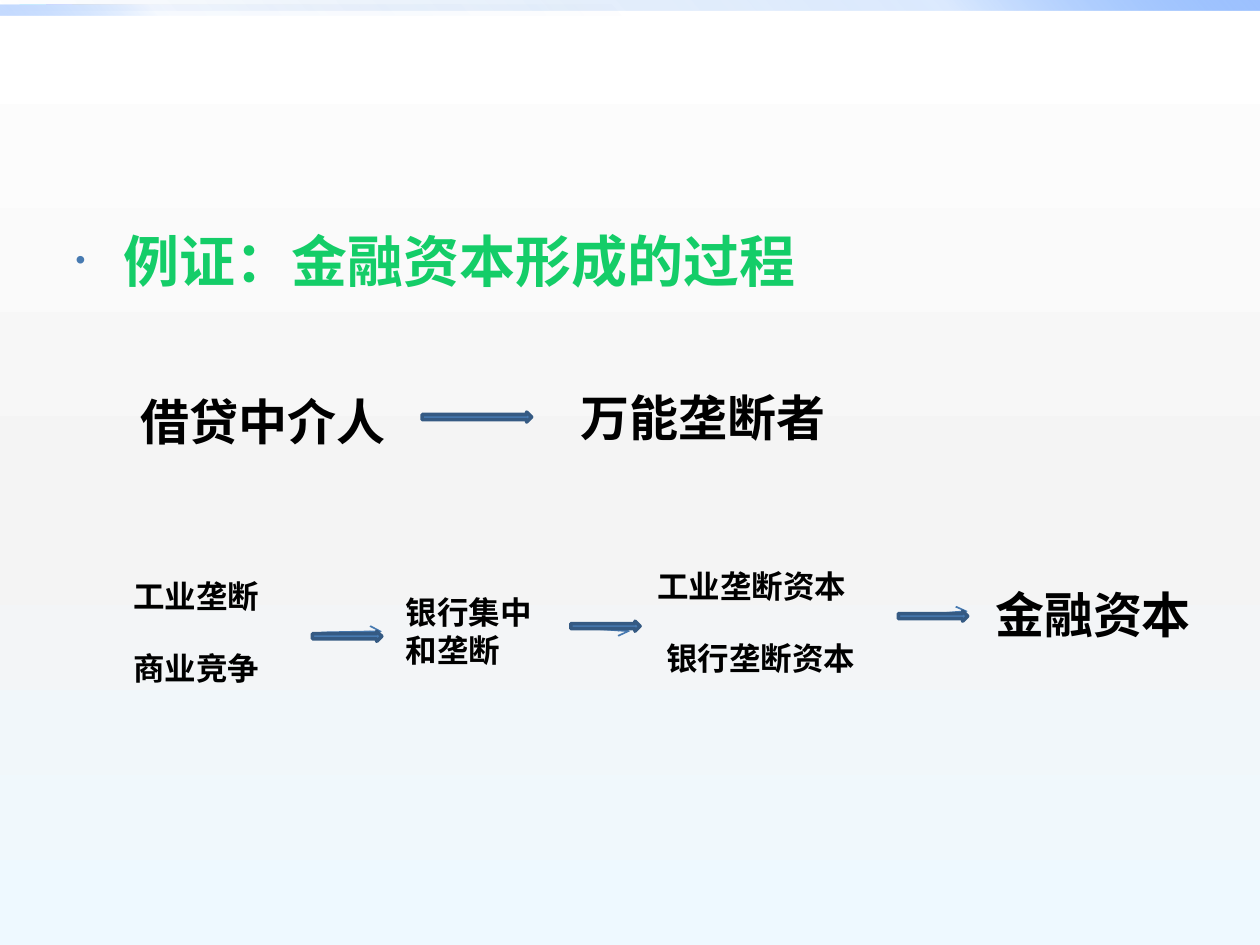
"""Build the slide on how finance capital takes shape."""
from lxml.etree import SubElement
from pptx import Presentation
from pptx.dml.color import RGBColor
from pptx.enum.shapes import MSO_CONNECTOR, MSO_SHAPE
from pptx.enum.text import MSO_ANCHOR, MSO_AUTO_SIZE, PP_ALIGN
from pptx.oxml.ns import qn
from pptx.util import Inches, Pt

BLACK = RGBColor(0x00, 0x00, 0x00)
WHITE = RGBColor(0xFF, 0xFF, 0xFF)
GRAY = RGBColor(0xF4, 0xF4, 0xF4)
PALE = RGBColor(0xEE, 0xF9, 0xFF)
NAVY = RGBColor(0x00, 0x58, 0xB7)
AZURE = RGBColor(0x4F, 0x95, 0xFF)
SKY = RGBColor(0x9E, 0xC2, 0xFF)
GREEN = RGBColor(0x14, 0xCD, 0x68)
TEAL = RGBColor(0x03, 0x5C, 0x7D)
STEEL = RGBColor(0x47, 0x7A, 0xB1)
DARK_STEEL = RGBColor(0x35, 0x5A, 0x83)
FONT = "Cambria"


def set_gradient(fill, owner, stops, angle):
    fill.gradient()
    gradient = next(owner.iter(qn("a:gradFill")))
    for child in list(gradient):
        gradient.remove(child)
    stop_list = SubElement(gradient, qn("a:gsLst"))
    for position, color, opacity in stops:
        stop = SubElement(stop_list, qn("a:gs"), pos=str(position * 1000))
        color_element = SubElement(stop, qn("a:srgbClr"), val=str(color))
        if opacity < 100:
            SubElement(color_element, qn("a:alpha"), val=str(opacity * 1000))
    SubElement(gradient, qn("a:lin"), ang=str(angle * 60000), scaled="0")


def add_run(paragraph, text, size):
    run = paragraph.add_run()
    run.text = text
    run.font.name = FONT
    run.font.size = Pt(size)
    run.font.bold = True
    run.font.color.rgb = BLACK
    return run


presentation = Presentation()
presentation.slide_width = Inches(10)
presentation.slide_height = Inches(7.5)
slide = presentation.slides.add_slide(presentation.slide_layouts[5])
set_gradient(slide.background.fill, slide.element,
             [(0, WHITE, 100), (55, GRAY, 100), (100, PALE, 100)], 90)

top_bars = [
    (0, 10, (0, 20, 100), 315),
    (0.04, 5, (0, 5, 60), 135),
]
for top, width, opacities, angle in top_bars:
    bar = slide.shapes.add_shape(MSO_SHAPE.RECTANGLE, 0, Inches(top), Inches(width), Inches(0.08))
    bar.shadow.inherit = False
    bar.line.fill.background()
    set_gradient(bar.fill, bar.element, zip((0, 75, 100), (NAVY, AZURE, SKY), opacities), angle)

title = slide.shapes.title
title.left, title.top, title.width, title.height = Inches(0.5), Inches(1.75), Inches(9), Inches(0.7)
title.text_frame.vertical_anchor = MSO_ANCHOR.TOP
title.text_frame.auto_size = MSO_AUTO_SIZE.NONE
heading = title.text_frame.paragraphs[0]
heading.alignment = PP_ALIGN.LEFT
heading_run = add_run(heading, "例证：金融资本形成的过程", 32)
set_gradient(heading_run.font.fill, heading_run._r, [(0, GREEN, 100), (100, TEAL, 100)], 0)
properties = heading._p.get_or_add_pPr()
properties.set("marL", str(Inches(0.38)))
properties.set("indent", str(-Inches(0.38)))
bullet_color = SubElement(properties, qn("a:buClr"))
SubElement(bullet_color, qn("a:srgbClr"), val=str(STEEL))
SubElement(properties, qn("a:buSzPct"), val="50000")
SubElement(properties, qn("a:buFont"), typeface="Arial")
SubElement(properties, qn("a:buChar"), char="•")

thin_arrows = [
    (2.55, 5.02, 3.03, 5.01),
    (4.58, 4.98, 5, 5.01),
    (7.21, 4.89, 7.68, 4.85),
]
for ends in thin_arrows:
    connector = slide.shapes.add_connector(MSO_CONNECTOR.STRAIGHT, *map(Inches, ends))
    connector.line.color.rgb = STEEL
    connector.line.width = Pt(1)
    SubElement(connector.line._get_or_add_ln(), qn("a:tailEnd"), type="arrow")
    SubElement(connector.element.spPr, qn("a:effectLst"))

block_arrows = [(2.48, 5.01, 0.55), (4.53, 4.93, 0.55), (7.13, 4.85, 0.55), (3.35, 3.27, 0.87)]
for left, top, width in block_arrows:
    arrow = slide.shapes.add_shape(MSO_SHAPE.RIGHT_ARROW, Inches(left), Inches(top),
                                   Inches(width), Inches(0.08))
    arrow.shadow.inherit = False
    arrow.fill.solid()
    arrow.fill.fore_color.rgb = STEEL
    arrow.line.color.rgb = DARK_STEEL
    arrow.line.width = Pt(2)

labels = [
    ("借贷中介人", 1.02, 3.06, 2.17, 0.57, 28),
    ("万能垄断者", 4.51, 3.03, 2.45, 0.57, 28),
    ("工业垄断", 0.96, 4.53, 2.31, 0.4, 18),
    ("商业竞争", 0.96, 5.1, 1.42, 0.4, 18),
    ("银行集中和垄断", 3.12, 4.66, 1.29, 0.71, 18),
    ("工业垄断资本", 5.12, 4.45, 1.9, 0.4, 18),
    ("银行垄断资本", 5.19, 5.02, 1.77, 0.4, 18),
    ("金融资本", 7.8, 4.59, 1.95, 0.57, 28),
]
for text, left, top, width, height, size in labels:
    label = slide.shapes.add_textbox(Inches(left), Inches(top), Inches(width), Inches(height))
    label.text_frame.word_wrap = True
    label.text_frame.auto_size = MSO_AUTO_SIZE.SHAPE_TO_FIT_TEXT
    add_run(label.text_frame.paragraphs[0], text, size)

presentation.save("out.pptx")
